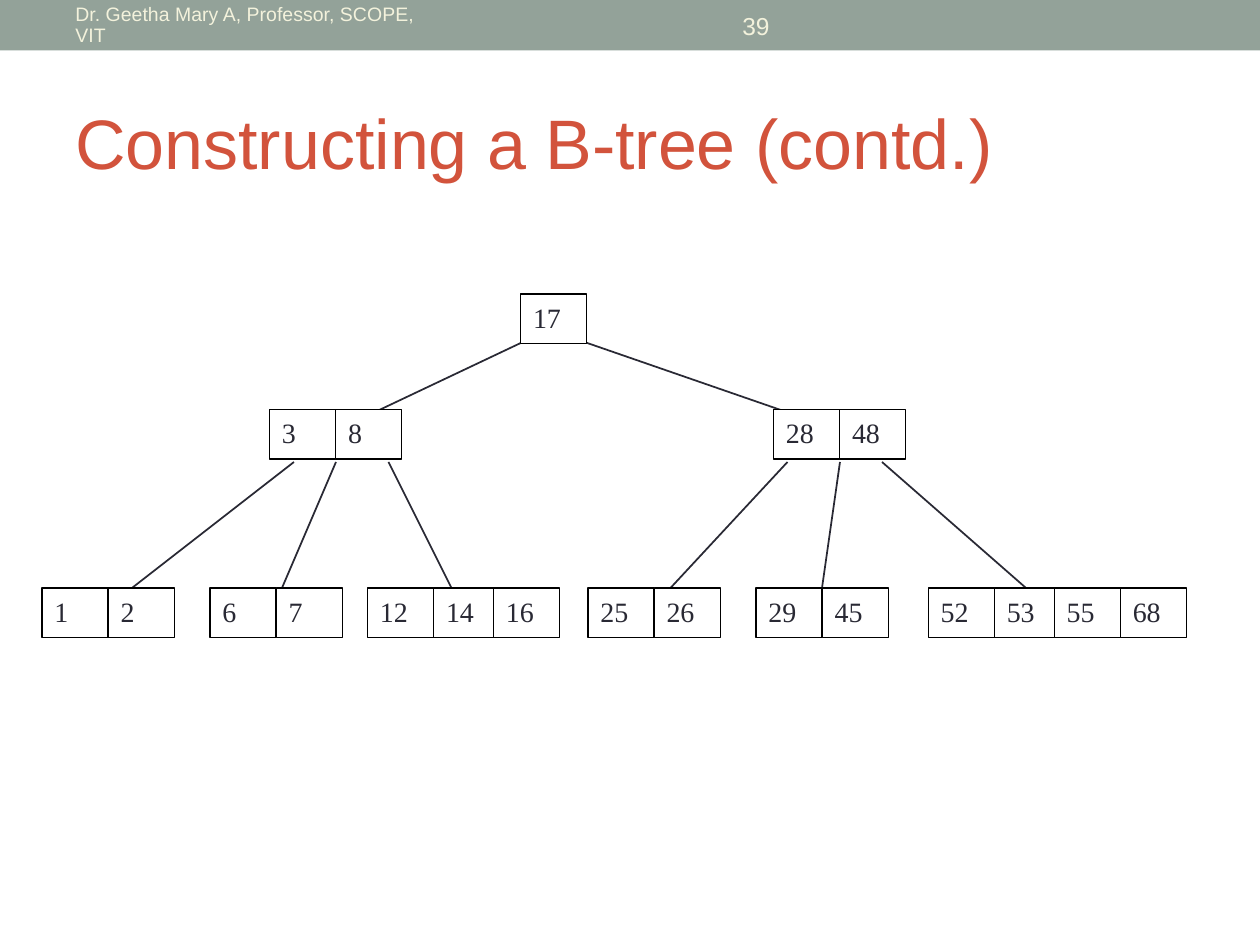
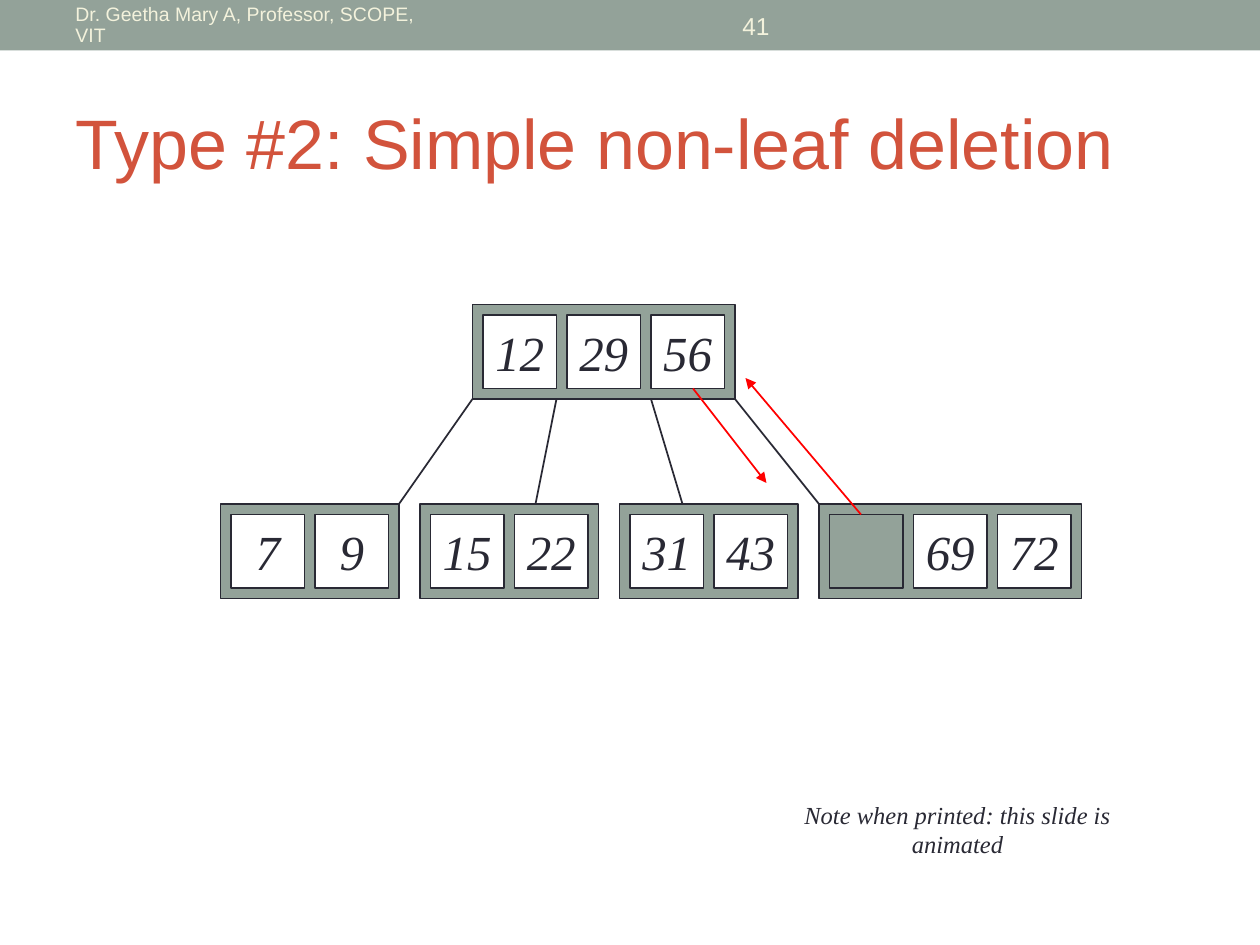
from lxml.etree import SubElement
from pptx import Presentation
from pptx.dml.color import RGBColor
from pptx.enum.shapes import MSO_CONNECTOR, MSO_SHAPE
from pptx.enum.text import MSO_ANCHOR, PP_ALIGN
from pptx.oxml.ns import qn
from pptx.util import Pt

COLORS = {
    "band": "93A299",
    "header": "F3F2DC",
    "title": "D2533C",
    "ink": "292934",
    "border": "000000",
    "paper": "FFFFFF",
    "move": "FF0000",
}
FORMATS = {
    "header": {"name": "Arial", "size": Pt(11.1)},
    "number": {"name": "Arial", "size": Pt(14)},
    "title": {"name": "Arial", "size": Pt(40)},
    "key": {"name": "Times New Roman", "size": Pt(16)},
    "large key": {"name": "Times New Roman", "size": Pt(28), "italic": True},
    "note": {"name": "Times New Roman", "size": Pt(14), "italic": True},
}
CENTERED = {"alignment": PP_ALIGN.CENTER}


def color(name):
    return RGBColor.from_string(COLORS[name])


def apply(target, values):
    for attribute, value in values.items():
        setattr(target, attribute, value)


class Deck:
    def __init__(self):
        self.presentation = Presentation()
        apply(self.presentation, {"slide_width": Pt(720), "slide_height": Pt(540)})
        self.slide = None

    def start(self, title, number):
        layout = self.presentation.slide_layouts[6]
        self.slide = self.presentation.slides.add_slide(layout)
        self.box((0, 0, 720, 28.8), "band")
        self.label((36, 1.5, 228, 26), "Dr. Geetha Mary A, Professor, SCOPE, VIT",
                   "header", "header", {"line_spacing": 0.9})
        self.label((270, 1.5, 324, 26), str(number), "number", "header", CENTERED)
        self.label((36, 42, 648, 78), title, "title", "title")

    def fill_text(self, shape, text, style, ink, layout, anchor, wrap):
        apply(shape.text_frame, {"word_wrap": wrap, "vertical_anchor": anchor})
        paragraph = shape.text_frame.paragraphs[0]
        apply(paragraph, {"alignment": PP_ALIGN.LEFT, **layout})
        run = paragraph.add_run()
        run.text = text
        apply(run.font, FORMATS[style])
        run.font.color.rgb = color(ink)

    def label(self, place, text, style, ink, layout={}, wrap=True):
        area = self.slide.shapes.add_textbox(*map(Pt, place))
        self.fill_text(area, text, style, ink, layout, MSO_ANCHOR.MIDDLE, wrap)

    def box(self, place, fill, border=None, weight=1):
        box = self.slide.shapes.add_shape(MSO_SHAPE.RECTANGLE, *map(Pt, place))
        box.shadow.inherit = False
        box.fill.solid()
        box.fill.fore_color.rgb = color(fill)
        if border:
            box.line.color.rgb = color(border)
            box.line.width = Pt(weight)
        else:
            box.line.fill.background()
        return box

    def line(self, start, end, ink="ink", arrow=False):
        line = self.slide.shapes.add_connector(
            MSO_CONNECTOR.STRAIGHT, *map(Pt, (*start, *end)))
        line.line.color.rgb = color(ink)
        line.line.width = Pt(1)
        properties = line._element.spPr
        if arrow:
            SubElement(properties.find(qn("a:ln")), qn("a:tailEnd"), type="triangle")
        SubElement(properties, qn("a:effectLst"))

    def edges(self, top, bottom, spans):
        for upper, lower in spans:
            self.line((upper, top), (lower, bottom))

    def plain_node(self, left, top, keys):
        for index, key in enumerate(keys):
            pair, second = divmod(index, 2)
            cell = self.box((left + 72 * pair + 37.8 * second, top, 37.8, 28.25),
                            "paper", "border", 0.75)
            self.fill_text(cell, str(key), "key", "ink", {}, MSO_ANCHOR.TOP, True)

    def framed_node(self, left, top, keys):
        cell_size, gap = 42, 6
        pitch = cell_size + gap
        width = len(keys) * pitch + gap
        self.box((left, top, width, cell_size + 2 * gap), "band", "ink")
        for index, key in enumerate(keys):
            place = (left + gap + index * pitch, top + gap, cell_size, cell_size)
            cell = self.box(place, "band" if key is None else "paper", "ink")
            if key is not None:
                self.fill_text(cell, str(key), "large key", "ink", CENTERED,
                               MSO_ANCHOR.MIDDLE, False)
        return width


def build_construction(deck):
    deck.start("Constructing a B-tree (contd.)", 39)
    deck.edges(264, 348, [(168, 60), (192, 156), (222, 264),
                          (450, 372), (480, 468), (504, 600)])
    deck.edges(192, 246, [(306, 192), (324, 480)])
    levels = {
        168: {297.5: [17]},
        234: {154: [3, 8], 442: [28, 48]},
        336: {24: [1, 2], 120: [6, 7], 210: [12, 14, 16],
              336: [25, 26], 432: [29, 45], 530.4: [52, 53, 55, 68]},
    }
    for top, nodes in levels.items():
        for left, keys in nodes.items():
            deck.plain_node(left, top, keys)


def build_deletion(deck):
    deck.start("Type #2: Simple non-leaf deletion", 41)
    deck.framed_node(270, 174, [12, 29, 56])
    leaf_left = 126
    for keys in [7, 9], [15, 22], [31, 43], [None, 69, 72]:
        leaf_left += deck.framed_node(leaf_left, 288, keys) + 12
    deck.edges(228, 288, [(270, 228), (318, 306), (372, 390), (420, 468)])
    deck.line((396, 222), (438, 276), "move", arrow=True)
    deck.line((492, 294), (426, 216), "move", arrow=True)
    deck.label((424.8, 461.5, 244.8, 24.5), "Note when printed: this slide is animated",
               "note", "ink", CENTERED, wrap=False)


def main():
    deck = Deck()
    build_construction(deck)
    build_deletion(deck)
    deck.presentation.save("out.pptx")


if __name__ == "__main__":
    main()
